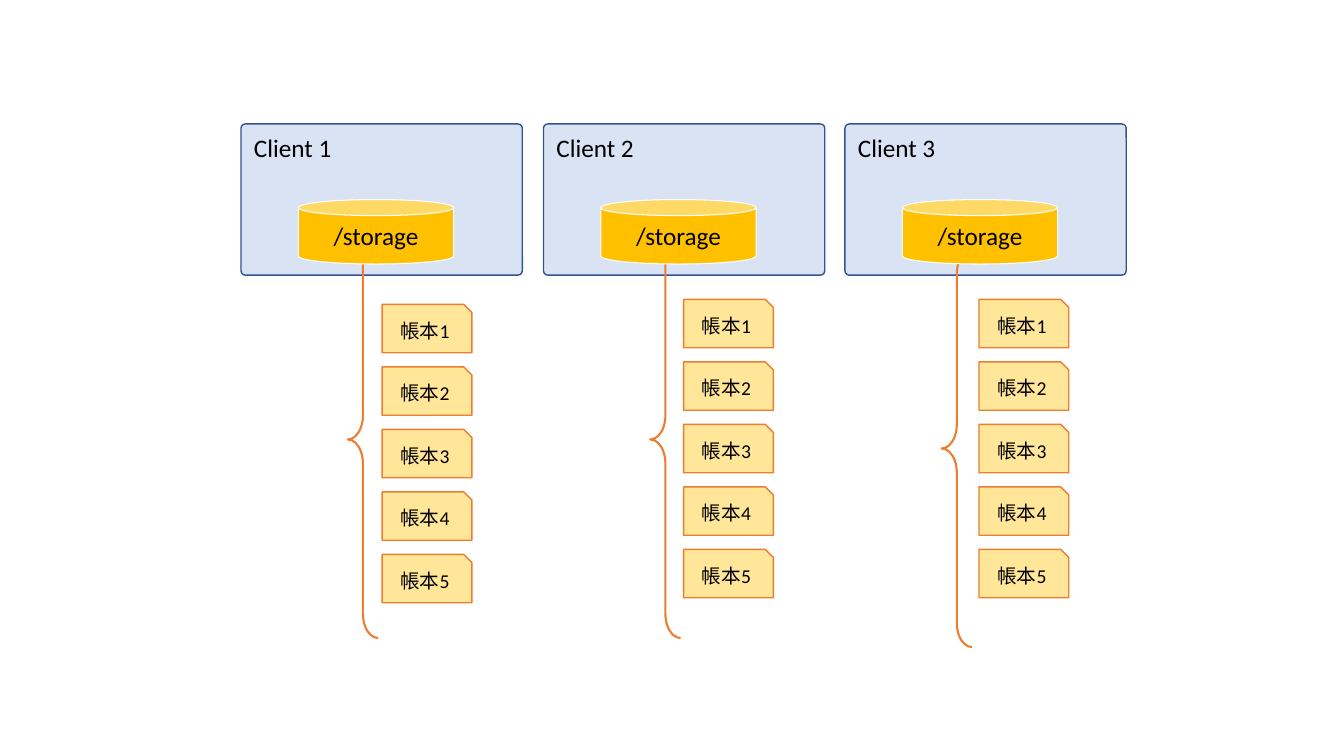
from dataclasses import dataclass

from pptx import Presentation
from pptx.dml.color import RGBColor
from pptx.enum.shapes import MSO_SHAPE
from pptx.enum.text import MSO_ANCHOR, MSO_AUTO_SIZE, PP_ALIGN
from pptx.util import Inches, Pt

ROUNDED = MSO_SHAPE.ROUNDED_RECTANGLE
SNIPPED = MSO_SHAPE.SNIP_1_RECTANGLE
BRACE = MSO_SHAPE.LEFT_BRACE
CAN = MSO_SHAPE.CAN
CENTER = PP_ALIGN.CENTER
MIDDLE = MSO_ANCHOR.MIDDLE
GROW = MSO_AUTO_SIZE.SHAPE_TO_FIT_TEXT
BLANK_LAYOUT = 6


@dataclass(frozen=True)
class Theme:
    font: str = "Calibri"
    text: str = "000000"
    client_fill: str = "DAE3F3"
    client_line: str = "325491"
    storage_fill: str = "FFC000"
    storage_line: str = "FFFFFF"
    ledger_fill: str = "FFE699"
    accent: str = "ED7D31"
    label_size: int = 18
    ledger_size: int = 14


THEME = Theme()

# Each client: number, left edge, ledger left and top, brace left and top
CLIENTS = [
    (1, 2.39, 3.79, 3.02, 3.45, 2.39),
    (2, 5.39, 6.78, 2.97, 6.45, 2.39),
    (3, 8.38, 9.71, 2.97, 9.34, 2.48),
]
LEDGER_COUNT = 5
LEDGER_PITCH = 0.62


def add_text(shape, text, size):
    span = shape.text_frame.paragraphs[0].add_run()
    span.text = text
    span.font.name = THEME.font
    span.font.size = Pt(size)
    span.font.color.rgb = RGBColor.from_string(THEME.text)


def add_outlined(page, kind, area, fill, line, width):
    shape = page.shapes.add_shape(kind, *map(Inches, area))
    shape.shadow.inherit = False
    if fill:
        shape.fill.solid()
        shape.fill.fore_color.rgb = RGBColor.from_string(fill)
    else:
        shape.fill.background()
    shape.line.color.rgb = RGBColor.from_string(line)
    shape.line.width = Pt(width)
    return shape


def center_text(shape, text, size):
    shape.text_frame.vertical_anchor = MIDDLE
    shape.text_frame.paragraphs[0].alignment = CENTER
    add_text(shape, text, size)


def add_client(page, number, left):
    area = (left, 1.23, 2.79, 1.5)
    box = add_outlined(page, ROUNDED, area, THEME.client_fill, THEME.client_line, 1)
    box.adjustments[0] = 0.029
    label = page.shapes.add_textbox(
        Inches(left + 0.03), Inches(1.26), Inches(0.98), Inches(0.4))
    label.text_frame.word_wrap = False
    label.text_frame.auto_size = GROW
    add_text(label, f"Client {number}", THEME.label_size)


def add_ledgers(page, left, top):
    for index in range(LEDGER_COUNT):
        area = (left, top + index * LEDGER_PITCH, 0.89, 0.48)
        card = add_outlined(page, SNIPPED, area, THEME.ledger_fill, THEME.accent, 1)
        center_text(card, f"帳本{index + 1}", THEME.ledger_size)


def add_brace(page, left, top):
    brace = add_outlined(page, BRACE, (left, top, 0.3, 3.94), None, THEME.accent, 1.5)
    brace.adjustments[0] = 0.799
    brace.adjustments[1] = 0.5


def add_storage(page, left):
    area = (left, 1.98, 1.54, 0.64)
    can = add_outlined(page, CAN, area, THEME.storage_fill, THEME.storage_line, 0.75)
    center_text(can, "/storage", THEME.label_size)


def main():
    deck = Presentation()
    deck.slide_width = Inches(13.33)
    deck.slide_height = Inches(7.5)
    page = deck.slides.add_slide(deck.slide_layouts[BLANK_LAYOUT])

    # The storage can covers the top of its brace
    for number, left, ledger_left, ledger_top, brace_left, brace_top in CLIENTS:
        add_client(page, number, left)
        add_ledgers(page, ledger_left, ledger_top)
        add_brace(page, brace_left, brace_top)
        add_storage(page, left + 0.57)

    deck.save("out.pptx")


if __name__ == "__main__":
    main()
